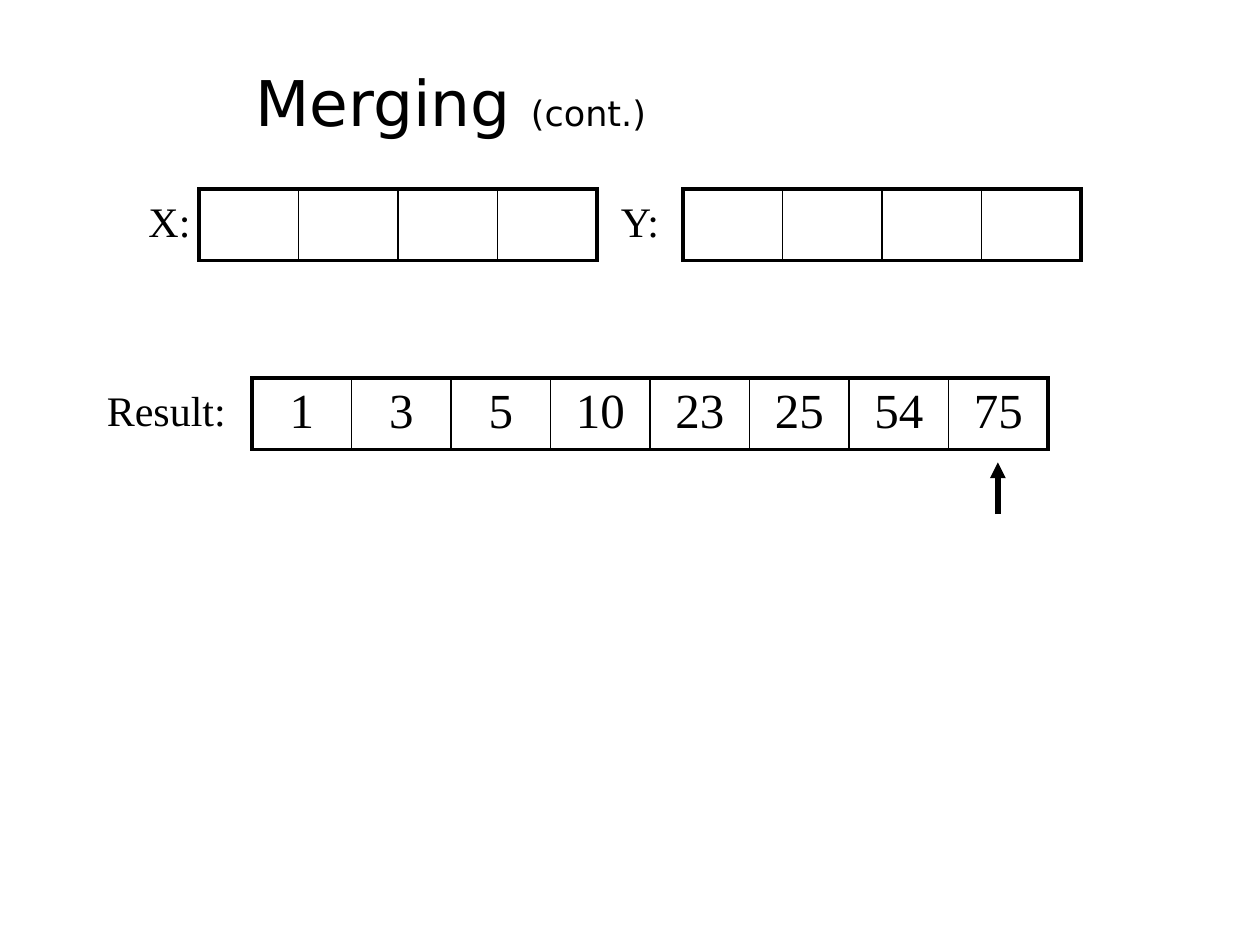
from lxml import etree
from pptx import Presentation
from pptx.dml.color import RGBColor
from pptx.enum.shapes import MSO_CONNECTOR as Connector
from pptx.enum.text import MSO_ANCHOR as Anchor, PP_ALIGN as Align
from pptx.oxml import parse_xml
from pptx.oxml.ns import nsdecls, qn
from pptx.util import Inches, Pt

BLACK = "000000"
SERIF = "Times New Roman"
CELL_WIDTH = 0.79
ROW_HEIGHT = 0.57


def style(font, size, name=SERIF, color=BLACK):
    font.size = Pt(size)
    font.name = name
    font.color.rgb = RGBColor.from_string(color)


def add_border(cell, side, width):
    cell._tc.get_or_add_tcPr().append(parse_xml(
        f'<a:{side} {nsdecls("a")} w="{Pt(width)}"><a:solidFill>'
        f'<a:srgbClr val="{BLACK}"/></a:solidFill></a:{side}>'))


prs = Presentation()
prs.slide_width, prs.slide_height = Inches(10), Inches(7.5)
slide = prs.slides.add_slide(prs.slide_layouts[6])

# Arrays: one-row tables with a heavy outline and thin dividers
arrays = [
    (1.58, 1.5, [""] * 4),
    (5.42, 1.5, [""] * 4),
    (2, 3, ["1", "3", "5", "10", "23", "25", "54", "75"]),
]
for left, top, values in arrays:
    count = len(values)
    array = slide.shapes.add_table(
        1, count, Inches(left), Inches(top),
        Inches(CELL_WIDTH * count), Inches(ROW_HEIGHT)).table
    array.first_row = array.horz_banding = False
    for i, value in enumerate(values):
        array.columns[i].width = Inches(CELL_WIDTH)
        cell = array.cell(0, i)
        add_border(cell, "lnL", 2.25 if i == 0 else 1)
        add_border(cell, "lnR", 2.25 if i == count - 1 else 1)
        add_border(cell, "lnT", 2.25)
        add_border(cell, "lnB", 2.25)
        cell.fill.background()
        if value:
            cell.text = value
            number = cell.text_frame.paragraphs[0]
            number.alignment = Align.CENTER
            style(number.font, 28)

# Arrow under the last merged value
arrow = slide.shapes.add_connector(
    Connector.STRAIGHT, Inches(7.92), Inches(4.08), Inches(7.92), Inches(3.67))
arrow.line.width = Pt(3)
arrow.line.color.rgb = RGBColor.from_string(BLACK)
etree.SubElement(arrow.line._get_or_add_ln(), qn("a:tailEnd"), type="triangle")
etree.SubElement(arrow._element.spPr, qn("a:effectLst"))

# Array labels
for label, left, top, width in [
    ("X:", 1.08, 1.5, 0.58),
    ("Y:", 4.83, 1.5, 0.58),
    ("Result:", 0.75, 3, 1.17),
]:
    frame = slide.shapes.add_textbox(
        Inches(left), Inches(top), Inches(width), Inches(0.5)).text_frame
    frame.word_wrap = True
    frame.text = label
    style(frame.paragraphs[0].font, 24)

# Title
title = slide.shapes.add_textbox(
    Inches(1.93), Inches(0.3), Inches(7.57), Inches(1.01)).text_frame
title.word_wrap = True
title.vertical_anchor = Anchor.MIDDLE
for words, size in [("Merging ", 36), ("(cont.)", 20)]:
    run = title.paragraphs[0].add_run()
    run.text = words
    style(run.font, size, "DejaVu Sans")

prs.save("out.pptx")
